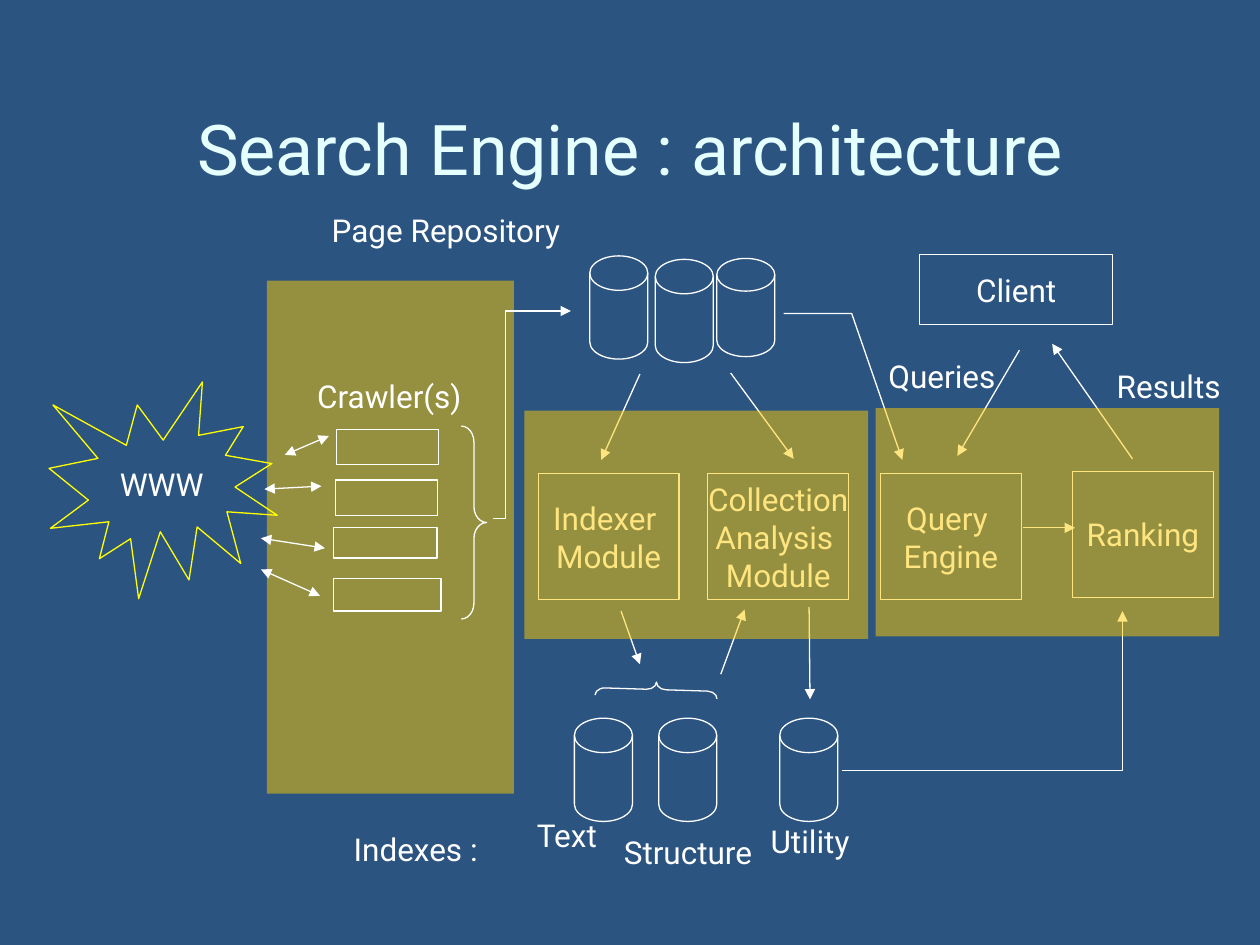
"""Build the search engine architecture slide."""
from pptx import Presentation
from pptx import util as u
from pptx.dml import color
from pptx.enum import shapes, text
from pptx.oxml import ns, xmlchemy

NAVY = color.RGBColor(0x2B, 0x54, 0x81)
ICE = color.RGBColor(0xE5, 0xFF, 0xFF)
WHITE = color.RGBColor(0xFF, 0xFF, 0xFF)
YELLOW = color.RGBColor(0xFF, 0xFF, 0x00)
GOLD = color.RGBColor(0xFF, 0xCC, 0x00)
FONT = "Roboto"
PRESET = shapes.MSO_SHAPE

deck = Presentation()
deck.slide_width, deck.slide_height = u.Cm(25.4), u.Cm(19.05)
page = deck.slides.add_slide(deck.slide_layouts[5])
page.background.fill.solid()
page.background.fill.fore_color.rgb = NAVY


def add_box(preset, frame, lines=(), outline=WHITE):
    """Add an outlined shape, or a plain label when preset is None."""
    place = [u.Cm(value) for value in frame]
    if preset is None:
        box = page.shapes.add_textbox(*place)
    else:
        box = page.shapes.add_shape(preset, *place)
        box.shadow.inherit = False
        box.fill.background()
        box.line.color.rgb = outline
        box.line.width = u.Pt(0.75)
    if lines:
        body = box.text_frame
        body.word_wrap = False
        body.margin_left = body.margin_right = u.Cm(0)
        body.vertical_anchor = text.MSO_ANCHOR.MIDDLE
        for index, line in enumerate(lines):
            para = body.add_paragraph() if index else body.paragraphs[0]
            para.alignment = text.PP_ALIGN.CENTER
            span = para.add_run()
            span.text = line
            span.font.name, span.font.size = FONT, u.Pt(18)
            span.font.color.rgb = WHITE
    return box


def add_arrow(points, ends=("tailEnd",)):
    """Add an arrow through the points, bent when there are more than two."""
    corners = [(u.Cm(x), u.Cm(y)) for x, y in points]
    if len(corners) == 2:
        arrow = page.shapes.add_connector(shapes.MSO_CONNECTOR.STRAIGHT, *corners[0], *corners[1])
        arrow._element.spPr.append(xmlchemy.OxmlElement("a:effectLst"))
    else:
        builder = page.shapes.build_freeform(*corners[0])
        builder.add_line_segments(corners[1:], close=False)
        arrow = builder.convert_to_shape()
        arrow.shadow.inherit = False
        arrow.fill.background()
    arrow.line.color.rgb = WHITE
    arrow.line.width = u.Pt(0.75)
    for end in ends:
        tip = xmlchemy.OxmlElement("a:" + end)
        tip.set("type", "triangle")
        arrow.line._get_or_add_ln().append(tip)


title = page.shapes.title
title.left, title.top, title.width, title.height = u.Cm(1.27), u.Cm(1.07), u.Cm(22.86), u.Cm(3.81)
title.text_frame.vertical_anchor = text.MSO_ANCHOR.MIDDLE
para = title.text_frame.paragraphs[0]
para.alignment = text.PP_ALIGN.CENTER
span = para.add_run()
span.text = "Search Engine : architecture"
span.font.name, span.font.size = FONT, u.Pt(40)
span.font.color.rgb = ICE

add_box(PRESET.EXPLOSION1, (0.99, 7.7, 4.6, 4.37), ["WWW"], YELLOW)

crawlers = [(6.78, 8.66, 2.06, 0.71), (6.76, 9.68, 2.06, 0.71),
            (6.73, 10.64, 2.08, 0.61), (6.73, 11.66, 2.16, 0.66)]
for frame in crawlers:
    add_box(PRESET.RECTANGLE, frame)

crawler_links = [[(6.63, 8.79), (5.74, 9.17)], [(6.48, 9.8), (5.33, 9.86)],
                 [(6.55, 11.05), (5.26, 10.85)], [(6.45, 12.01), (5.26, 11.48)]]
for link in crawler_links:
    add_arrow(link, ("headEnd", "tailEnd"))

braces = [((9.3, 8.59, 0.51, 3.89), 0, 0.63), ((13.08, 12.67, 0.3, 2.46), 271.8, 0.66)]
for frame, angle, curl in braces:
    brace = add_box(PRESET.RIGHT_BRACE, frame)
    brace.rotation = angle
    brace.adjustments[0] = curl

disks = [(11.89, 5.16, 2.08), (14.45, 5.21, 1.98), (13.21, 5.23, 2.08),
         (11.58, 14.48, 2.08), (13.28, 14.48, 2.08), (15.72, 14.48, 2.08)]
for left, top, height in disks:
    add_box(PRESET.FLOWCHART_MAGNETIC_DISK, (left, top, 1.17, height))

modules = [(10.85, 9.55, ["Indexer ", "Module"]),
           (14.27, 9.55, ["Collection", "Analysis ", "Module"]),
           (17.75, 9.55, ["Query ", "Engine"]),
           (21.62, 9.5, ["Ranking"])]
for left, top, lines in modules:
    add_box(PRESET.RECTANGLE, (left, top, 2.84, 2.54), lines)
add_box(PRESET.RECTANGLE, (18.54, 5.13, 3.89, 1.42), ["Client"])

flows = [
    [(9.93, 10.46), (10.19, 10.46), (10.19, 6.27), (11.51, 6.27)],
    [(12.9, 7.54), (12.12, 9.27)],
    [(14.73, 7.52), (16, 9.25)],
    [(20.62, 10.64), (21.67, 10.64)],
    [(20.55, 7.06), (19.3, 9.19)],
    [(22.83, 9.25), (21.21, 6.93)],
    [(15.8, 6.32), (17.17, 6.32), (18.19, 9.27)],
    [(12.52, 12.32), (12.9, 13.39)],
    [(14.53, 13.59), (15.01, 12.29)],
    [(16.31, 12.24), (16.33, 14.1)],
    [(16.97, 15.54), (22.63, 15.54), (22.63, 12.32)],
]
for flow in flows:
    add_arrow(flow)

panels = []
for frame in [(5.38, 5.66, 4.98, 10.34), (10.57, 8.28, 6.93, 4.6), (17.65, 8.23, 6.93, 4.6)]:
    panel = add_box(PRESET.RECTANGLE, frame)
    panel.line.fill.background()
    panel.fill.solid()
    panel.fill.fore_color.rgb = GOLD
    alpha = xmlchemy.OxmlElement("a:alpha")
    alpha.set("val", "50000")
    panel._element.spPr.find(".//" + ns.qn("a:srgbClr")).append(alpha)
    panels.append(panel)
page.shapes._spTree.insert(2, panels[0]._element)

labels = [
    ("Crawler(s)", (6.25, 7.62, 3.2, 0.71)),
    ("Page Repository", (6.54, 4.29, 4.9, 0.71)),
    ("Indexes :", (5.84, 16.59, 5.08, 1.04)),
    ("Text", (9.83, 16.48, 3.2, 0.71)),
    ("Structure", (12.27, 16.81, 3.2, 0.71)),
    ("Utility", (15.21, 16.59, 2.24, 0.71)),
    ("Queries", (17.63, 7.06, 2.72, 1.04)),
    ("Results", (22.2, 7.26, 2.72, 1.04)),
]
for label, frame in labels:
    add_box(None, frame, [label])

deck.save("out.pptx")
